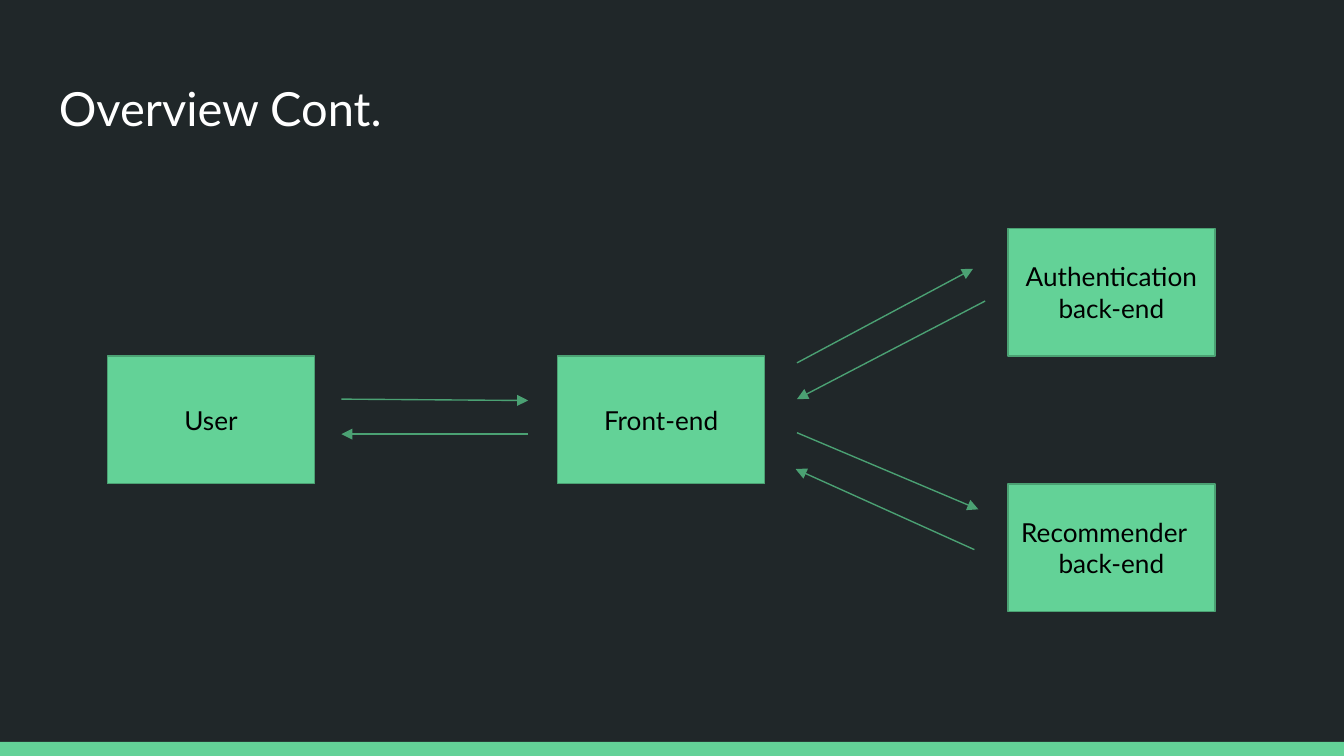
import pptx
import pptx.util
import pptx.dml.color
import pptx.enum.shapes
import pptx.enum.text
import pptx.oxml.ns
import lxml.etree

COLORS = {
    "background": "202729",
    "green": "63D297",
    "outline": "4BA173",
    "title": "FFFFFF",
    "label": "000000",
}
LEFT = pptx.enum.text.PP_ALIGN.LEFT
CENTER = pptx.enum.text.PP_ALIGN.CENTER


class Diagram:
    font = "Lato"
    cell = 0.1
    columns, rows = 100, 56.25
    box_width, box_height = 15.4, 9.5

    def __init__(self, deck):
        deck.slide_width = self.length(self.columns)
        deck.slide_height = self.length(self.rows)
        self.slide = deck.slides.add_slide(deck.slide_layouts[6])
        fill = self.slide.background.fill
        fill.solid()
        fill.fore_color.rgb = self.color("background")

    def length(self, cells):
        return pptx.util.Inches(cells * self.cell)

    def color(self, name):
        return pptx.dml.color.RGBColor.from_string(COLORS[name])

    def box(self, column, row, width, height, outline=None):
        box = self.slide.shapes.add_shape(
            pptx.enum.shapes.MSO_SHAPE.RECTANGLE,
            *map(self.length, (column, row, width, height)))
        box.shadow.inherit = False
        box.fill.solid()
        box.fill.fore_color.rgb = self.color("green")
        if outline:
            box.line.color.rgb = self.color(outline)
            box.line.width = pptx.util.Pt(0.75)
        else:
            box.line.fill.background()

    def text(self, column, row, width, height, content, size, color, alignments):
        box = self.slide.shapes.add_textbox(
            *map(self.length, (column, row, width, height)))
        frame = box.text_frame
        frame.word_wrap = True
        frame.margin_left = frame.margin_right = self.length(1)
        frame.margin_top = frame.margin_bottom = self.length(1)
        frame.text = content
        for para, alignment in zip(frame.paragraphs, alignments):
            para.alignment = alignment
            for span in para.runs:
                span.font.name = self.font
                span.font.size = pptx.util.Pt(size)
                span.font.color.rgb = self.color(color)

    def node(self, column, row, content, lines, alignments):
        self.box(column, row, self.box_width, self.box_height, "outline")
        height = 2 + 2.35 * lines
        top = row + (self.box_height - height) / 2
        self.text(column, top, self.box_width, height, content, 14, "label", alignments)

    def arrow(self, *ends):
        arrow = self.slide.shapes.add_connector(
            pptx.enum.shapes.MSO_CONNECTOR.STRAIGHT, *map(self.length, ends))
        arrow.line.color.rgb = self.color("outline")
        arrow.line.width = pptx.util.Pt(0.75)
        qualified = pptx.oxml.ns.qn
        head = lxml.etree.SubElement(arrow.line._get_or_add_ln(), qualified("a:tailEnd"))
        head.set("type", "triangle")
        lxml.etree.SubElement(arrow._element.spPr, qualified("a:effectLst"))


def main():
    deck = pptx.Presentation()
    diagram = Diagram(deck)
    diagram.box(0, 55.2, diagram.columns, 1.05)
    diagram.text(3.4, 4.9, 93.2, 6.3, "Overview Cont.", 25.2, "title", [LEFT])

    user, front, back = (8 + 33.5 * step for step in range(3))
    upper, middle, lower = (17 + diagram.box_height * step for step in range(3))
    diagram.node(user, middle, "User", 1, [CENTER])
    diagram.node(front, middle, "Front-end", 1, [CENTER])
    diagram.node(back, upper, "Authentication back-end", 2, [CENTER])
    diagram.node(back, lower, "Recommender\nback-end", 2, [LEFT, CENTER])

    for ends in (
        (25.4, 29.7, 39.3, 29.8),
        (39.3, 32.3, 25.4, 32.3),
        (59.3, 27, 72.4, 20),
        (73.3, 22.4, 59.3, 29.7),
        (59.3, 32.2, 72.8, 37.9),
        (72.5, 40.9, 59.2, 34.9),
    ):
        diagram.arrow(*ends)

    deck.save("out.pptx")


if __name__ == "__main__":
    main()
